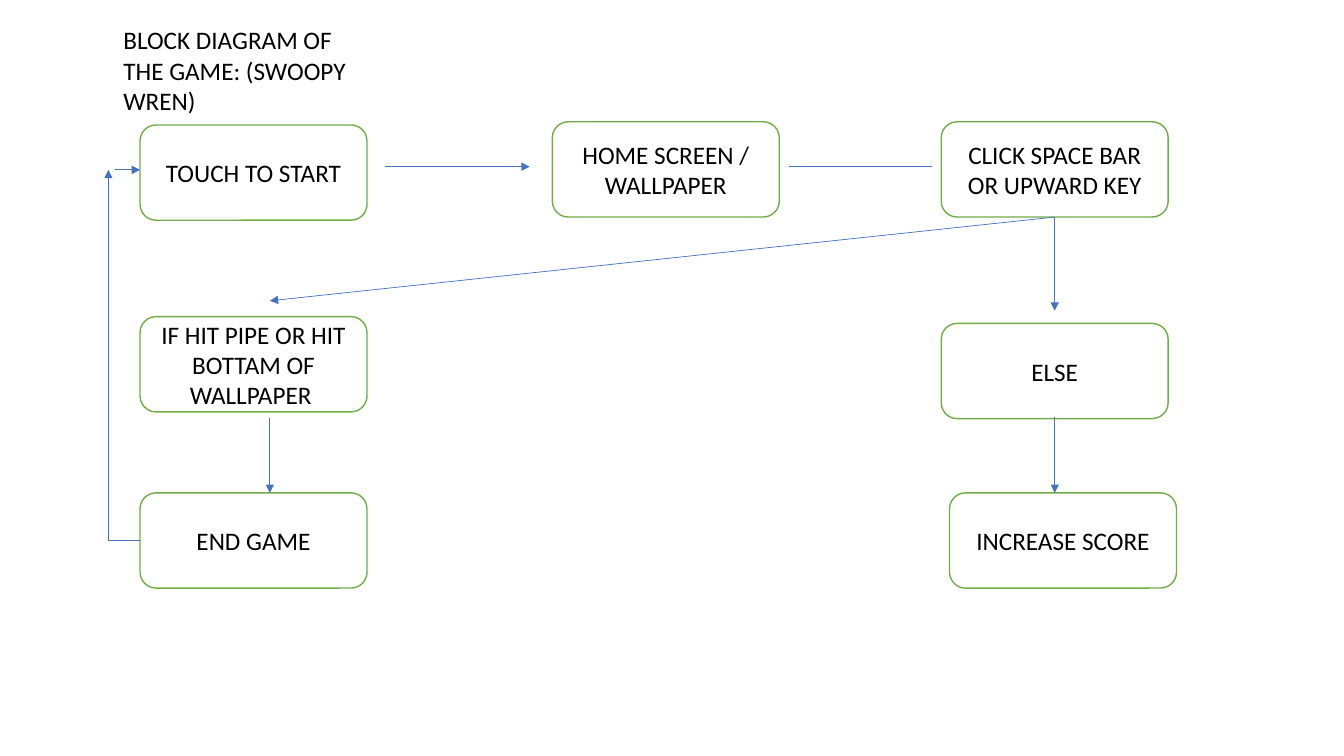
from dataclasses import dataclass

from lxml.etree import SubElement
from pptx import Presentation
from pptx.dml.color import RGBColor
from pptx.enum.shapes import MSO_CONNECTOR, MSO_SHAPE
from pptx.enum.text import MSO_ANCHOR, PP_ALIGN
from pptx.oxml.ns import qn
from pptx.util import Cm, Pt


@dataclass(frozen=True)
class Theme:
    """Colours, font and sizes of the slide."""
    paper: RGBColor = RGBColor(0xFF, 0xFF, 0xFF)
    ink: RGBColor = RGBColor(0, 0, 0)
    border: RGBColor = RGBColor(0x70, 0xAD, 0x47)
    arrow: RGBColor = RGBColor(0x44, 0x72, 0xC4)
    font: str = "Calibri"
    text_size: Pt = Pt(18)
    border_width: Pt = Pt(1)
    arrow_width: Pt = Pt(0.5)


theme = Theme()
deck = Presentation()
deck.slide_width, deck.slide_height = Cm(33.87), Cm(19.05)
page = deck.slides.add_slide(deck.slide_layouts[6])


def write(shape, text, align):
    """Put one styled, wrapped paragraph into a shape."""
    frame = shape.text_frame
    frame.word_wrap = True
    frame.text = text
    para = frame.paragraphs[0]
    para.alignment = align
    font = para.runs[0].font
    font.name, font.size = theme.font, theme.text_size
    font.color.rgb = theme.ink


def connect(start, end, kind=MSO_CONNECTOR.STRAIGHT, arrow=True):
    """Draw a thin connector between two points given in centimetres."""
    connector = page.shapes.add_connector(kind, *map(Cm, start + end))
    connector.line.color.rgb = theme.arrow
    connector.line.width = theme.arrow_width
    properties = connector._element.spPr
    if arrow:
        SubElement(properties.find(qn("a:ln")), qn("a:tailEnd"), type="triangle")
    SubElement(properties, qn("a:effectLst"))
    return connector


box_width, box_height = 5.72, 2.4
left, middle, right = 3.53, 13.92, 23.72
bottom_row = 12.42
steps = [
    ("TOUCH TO START", left, 3.15),
    ("HOME SCREEN / WALLPAPER", middle, 3.07),
    ("CLICK SPACE BAR OR UPWARD KEY", right, 3.07),
    ("IF HIT PIPE OR HIT BOTTAM OF WALLPAPER ", left, 7.98),
    ("ELSE", right, 8.15),
    ("END GAME", left, bottom_row),
    ("INCREASE SCORE", 23.93, bottom_row),
]
for label, x, y in steps:
    box = page.shapes.add_shape(
        MSO_SHAPE.ROUNDED_RECTANGLE, Cm(x), Cm(y), Cm(box_width), Cm(box_height))
    box.shadow.inherit = False
    box.fill.solid()
    box.fill.fore_color.rgb = theme.paper
    box.line.color.rgb = theme.border
    box.line.width = theme.border_width
    box.text_frame.vertical_anchor = MSO_ANCHOR.MIDDLE
    write(box, label, PP_ALIGN.CENTER)

top_line, loop_x, loop_top = 4.2, 2.73, 4.28
hit_x = 6.8
key_x = right + box_width / 2
key_bottom = 3.07 + box_height
arrows = [
    ((9.7, top_line), (13.35, top_line)),
    ((key_x, key_bottom), (hit_x, 7.58)),
    ((key_x, key_bottom), (key_x, 7.83)),
    ((hit_x, 10.53), (hit_x, bottom_row)),
    ((key_x, 10.5), (key_x, bottom_row)),
    ((2.9, loop_top), (left, loop_top)),
]
for start, end in arrows:
    connect(start, end)
connect((19.88, top_line), (23.48, top_line), arrow=False)

# A half turn makes the elbow leave END GAME leftwards and then climb.
restart = connect((loop_x, loop_top), (left, bottom_row + box_height / 2),
                  MSO_CONNECTOR.ELBOW)
geometry = restart._element.spPr
geometry.find(qn("a:prstGeom")).set("prst", "bentConnector2")
geometry.find(qn("a:xfrm")).set("rot", str(180 * 60000))

title = page.shapes.add_textbox(Cm(2.86), Cm(0.5), Cm(6.53), Cm(2.57))
write(title, "BLOCK DIAGRAM OF THE GAME: (SWOOPY WREN)", PP_ALIGN.LEFT)

deck.save("out.pptx")
